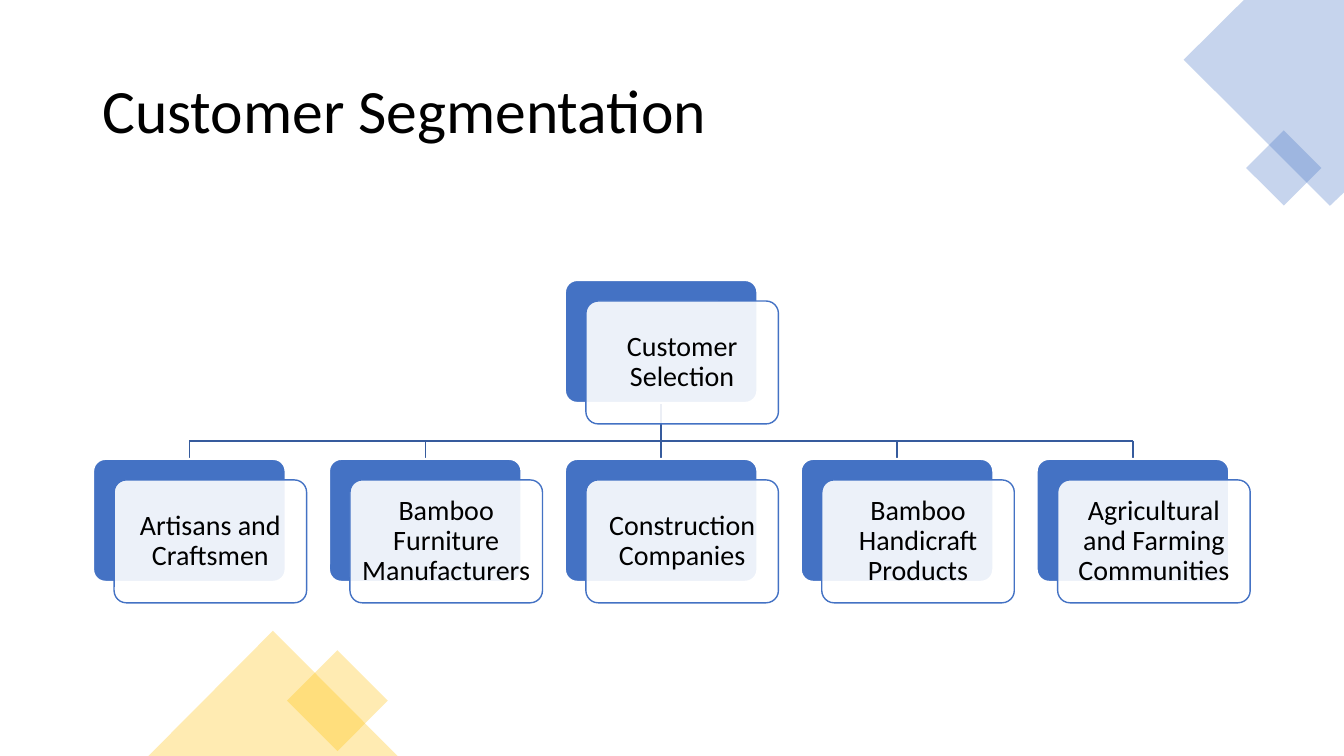
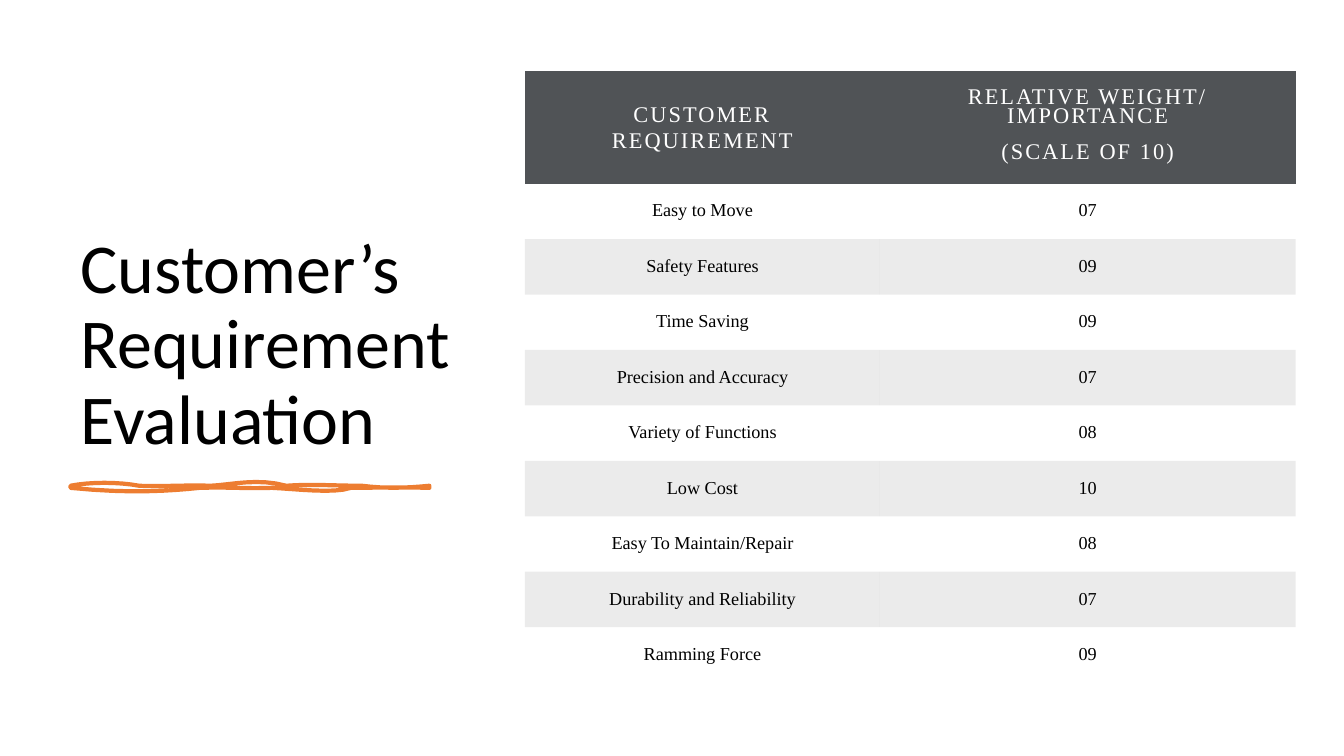
from lxml.etree import SubElement as Sub
from pptx import Presentation
from pptx.dml.color import RGBColor
from pptx.enum.shapes import MSO_CONNECTOR as LINK, MSO_SHAPE as KIND
from pptx.enum.text import MSO_ANCHOR as ANCHOR, PP_ALIGN as ALIGN
from pptx.oxml.ns import qn
from pptx.util import Pt

BLUE, DEEP, GOLD, RUST = "4472C4", "365B9D", "FFC000", "ED7D31"
SLATE, BLACK, WHITE = "505356", "000000", "FFFFFF"
SANS, SERIF = "Calibri", "Times New Roman"
PLAIN = "{2D5ABB26-0587-4C30-8999-92F81FD0307C}"


def tint(hue):
    return RGBColor.from_string(hue)


def paint(fill, hue, alpha=100):
    if hue is None:
        fill.background()
        return
    fill.solid()
    fill.fore_color.rgb = tint(hue)
    if alpha < 100:
        node = fill._xPr.find(".//" + qn("a:srgbClr"))
        Sub(node, qn("a:alpha")).set("val", str(alpha * 1000))


def bend(start, curves, steps=8):
    dots = [start]
    for a, b, c, d, e, f in curves:
        x, y = dots[-1]
        for n in range(1, steps + 1):
            t = n / steps
            u = 1 - t
            parts = (u ** 3, 3 * u * u * t, 3 * u * t * t, t ** 3)
            dots.append((sum(p * v for p, v in zip(parts, (x, a, c, e))),
                         sum(p * v for p, v in zip(parts, (y, b, d, f)))))
    return dots


class Deck:
    """Holds the shared style and the current slide."""

    def __init__(self):
        self.prs = Presentation()
        self.prs.slide_width, self.prs.slide_height = Pt(960), Pt(540)

    def page(self):
        self.shapes = self.prs.slides.add_slide(self.prs.slide_layouts[6]).shapes

    def dress(self, item, hue, alpha=100, edge=None, width=1):
        item.shadow.inherit = False
        paint(item.fill, hue, alpha)
        paint(item.line.fill, edge)
        if edge:
            item.line.width = Pt(width)

    def shape(self, kind, box, hue, alpha=100, edge=None, width=1, turn=0):
        item = self.shapes.add_shape(kind, *map(Pt, box))
        item.rotation = turn
        self.dress(item, hue, alpha, edge, width)
        return item

    def free(self, dots, *look):
        pts = [(Pt(x), Pt(y)) for x, y in dots]
        form = self.shapes.build_freeform(*pts[0], scale=1.0)
        form.add_line_segments(pts[1:], close=True)
        self.dress(form.convert_to_shape(), *look)

    def line(self, *ends):
        item = self.shapes.add_connector(LINK.STRAIGHT, *map(Pt, ends))
        item.line.color.rgb = tint(DEEP)
        item.line.width = Pt(1)
        Sub(item._element.spPr, qn("a:effectLst"))

    def style(self, para, text, size, hue=BLACK, face=SANS, align=ALIGN.CENTER, space=0.9):
        para.text = text
        para.alignment = align
        para.line_spacing = space
        font = para.font
        font.size, font.name = Pt(size), face
        font.color.rgb = tint(hue)
        return font

    def title(self, text, box, size, anchor):
        frame = self.shapes.add_textbox(*map(Pt, box)).text_frame
        frame.word_wrap = True
        frame.vertical_anchor = anchor
        self.style(frame.paragraphs[0], text, size, align=ALIGN.LEFT)

    def card(self, text, left, top, wide, high):
        shift = 15
        back = self.shape(KIND.ROUNDED_RECTANGLE, (left, top, wide, high), BLUE, 100, WHITE, 1.5)
        front = self.shape(KIND.ROUNDED_RECTANGLE, (left + shift, top + shift, wide, high),
                           WHITE, 90, BLUE)
        for item in (back, front):
            item.adjustments[0] = 0.1
        frame = front.text_frame
        frame.word_wrap = True
        frame.vertical_anchor = ANCHOR.MIDDLE
        frame.margin_left = frame.margin_right = Pt(6)
        self.style(frame.paragraphs[0], text, 20)

    def cell(self, cell, lines, head, band):
        paint(cell.fill, SLATE if head else BLACK if band else None, 8 if band else 100)
        cell.vertical_anchor = ANCHOR.MIDDLE
        cell.margin_left = cell.margin_right = Pt(20)
        cell.margin_top = cell.margin_bottom = Pt(10.8)
        frame = cell.text_frame
        for n, text in enumerate(lines):
            para = frame.add_paragraph() if n else frame.paragraphs[0]
            if head:
                tight = len(lines) > 1 and n == 0
                font = self.style(para, text, 16, WHITE, SERIF, space=Pt(13.8) if tight else 1.07)
                font._rPr.set("spc", "150")
                if n:
                    para.space_before = Pt(6.8)
            else:
                self.style(para, text, 13, BLACK, SERIF, space=Pt(13.5))

    def table(self, rows, left, top, cols, first, rest):
        high = first + rest * (len(rows) - 1)
        frame = self.shapes.add_table(len(rows), len(cols), *map(Pt, (left, top, sum(cols), high)))
        grid = frame.table
        grid.first_row = grid.horz_banding = False
        grid._tbl.tblPr.find(qn("a:tableStyleId")).text = PLAIN
        for col, wide in zip(grid.columns, cols):
            col.width = Pt(wide)
        for r, row in enumerate(rows):
            grid.rows[r].height = Pt(rest if r else first)
            for c, lines in enumerate(row):
                self.cell(grid.cell(r, c), lines, r == 0, r > 0 and r % 2 == 0)


def segments(deck):
    deck.page()
    deck.free([(960, 0), (888.5, 0), (845.5, 42.7), (950, 147), (960, 137.5)], BLUE, 30)
    deck.shape(KIND.RECTANGLE, (898, 101, 38, 38), BLUE, 30, turn=45)
    deck.shape(KIND.RECTANGLE, (215.5, 475, 51, 51), GOLD, 30, turn=45)
    deck.shape(KIND.ISOSCELES_TRIANGLE, (106, 450.5, 178, 89.5), GOLD, 30)
    deck.title("Customer Segmentation", (66, 28.8, 828, 104.4), 44, ANCHOR.MIDDLE)

    names = ["Artisans and Craftsmen", "Bamboo Furniture Manufacturers", "Construction Companies",
             "Bamboo Handicraft Products", "Agricultural and Farming Communities"]
    wide, high, root, base, bar = 137.5, 87.8, 200, 327.8, 315
    lefts = [66.5 + 168.5 * n for n in range(len(names))]
    mids = [left + wide / 2 for left in lefts]
    deck.line(mids[2], root + high, mids[2], bar)
    deck.line(mids[0], bar, mids[-1], bar)
    for mid in mids:
        deck.line(mid, bar, mid, base)
    deck.card("Customer Selection", lefts[2], root, wide, high)
    for name, left in zip(names, lefts):
        deck.card(name, left, base, wide, high)


def needs(deck):
    deck.page()
    deck.title("Customer’s Requirement Evaluation", (50.4, 50.4, 281.5, 281.5), 50, ANCHOR.BOTTOM)
    waves = [
        (64, 344.2, 85, 344.2, 99.4, 347),
        (111, 347.8, 134, 346.3, 150.5, 347),
        (165, 346.3, 184, 341.3, 204.5, 347),
        (222.5, 345.6, 237, 347, 258.5, 347),
        (276.5, 349.2, 291, 348.5, 306.7, 347),
        (306.7, 347.8, 306.7, 347.8, 306.7, 348.5),
        (283, 347.8, 264, 348.5, 250.6, 348.5),
        (238, 352.8, 211, 349.2, 194.4, 348.5),
        (175, 349.2, 165, 347.8, 142.6, 348.5),
        (121.7, 350.6, 94.3, 352.8, 50.4, 348.5),
    ]
    deck.free(bend((50.4, 347), waves), None, 100, RUST, 3)

    marks = [("Easy to Move", "07"), ("Safety Features", "09"), ("Time Saving", "09"),
             ("Precision and Accuracy", "07"), ("Variety of Functions", "08"), ("Low Cost", "10"),
             ("Easy To Maintain/Repair", "08"), ("Durability and Reliability", "07"),
             ("Ramming Force", "09")]
    rows = [(["CUSTOMER REQUIREMENT"], ["RELATIVE WEIGHT/ IMPORTANCE", "(SCALE OF 10)"])]
    rows += [([name], [mark]) for name, mark in marks]
    deck.table(rows, 375, 50.4, (253.5, 297), 80.8, 39.6)


def main():
    deck = Deck()
    segments(deck)
    needs(deck)
    deck.prs.save("out.pptx")


if __name__ == "__main__":
    main()
